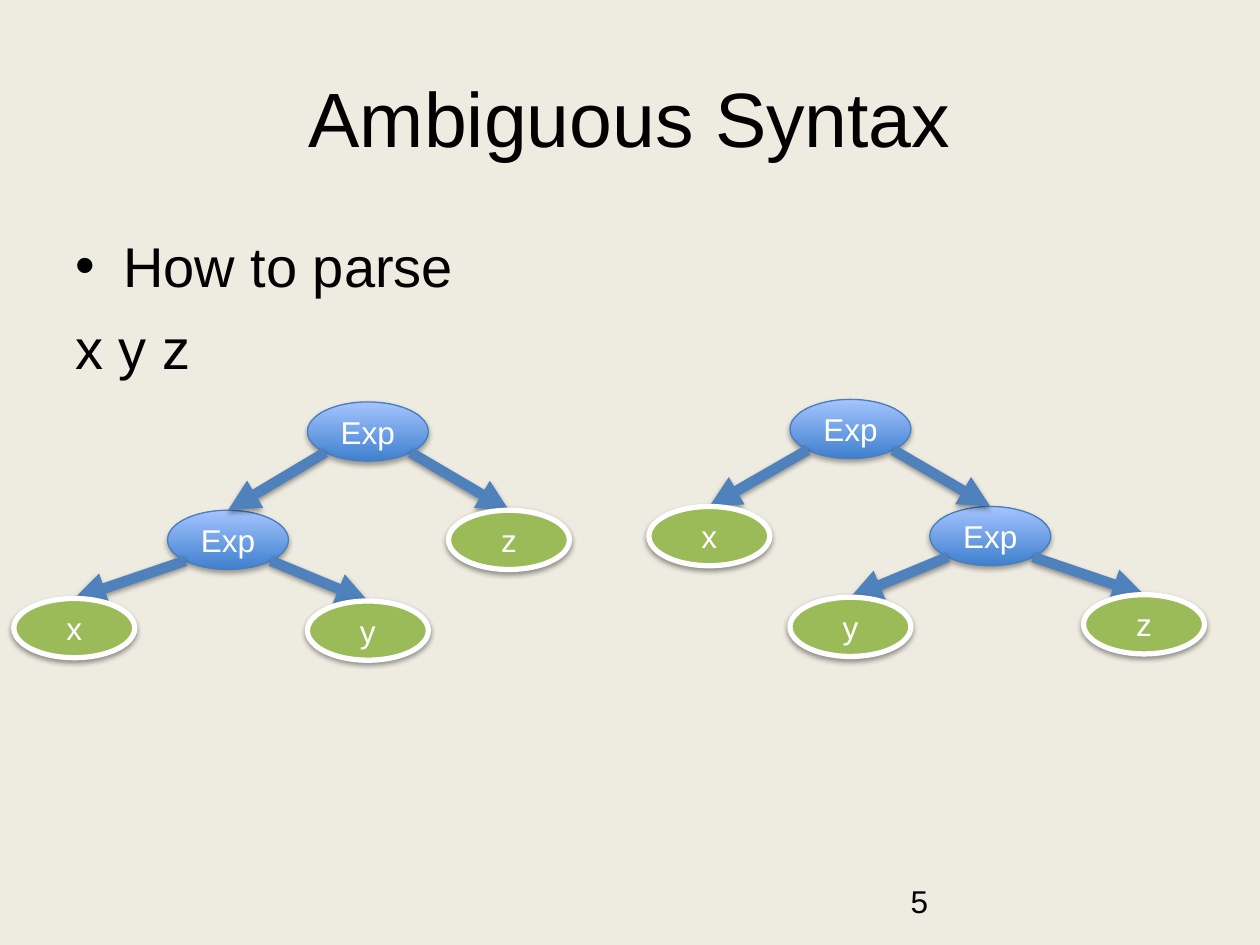
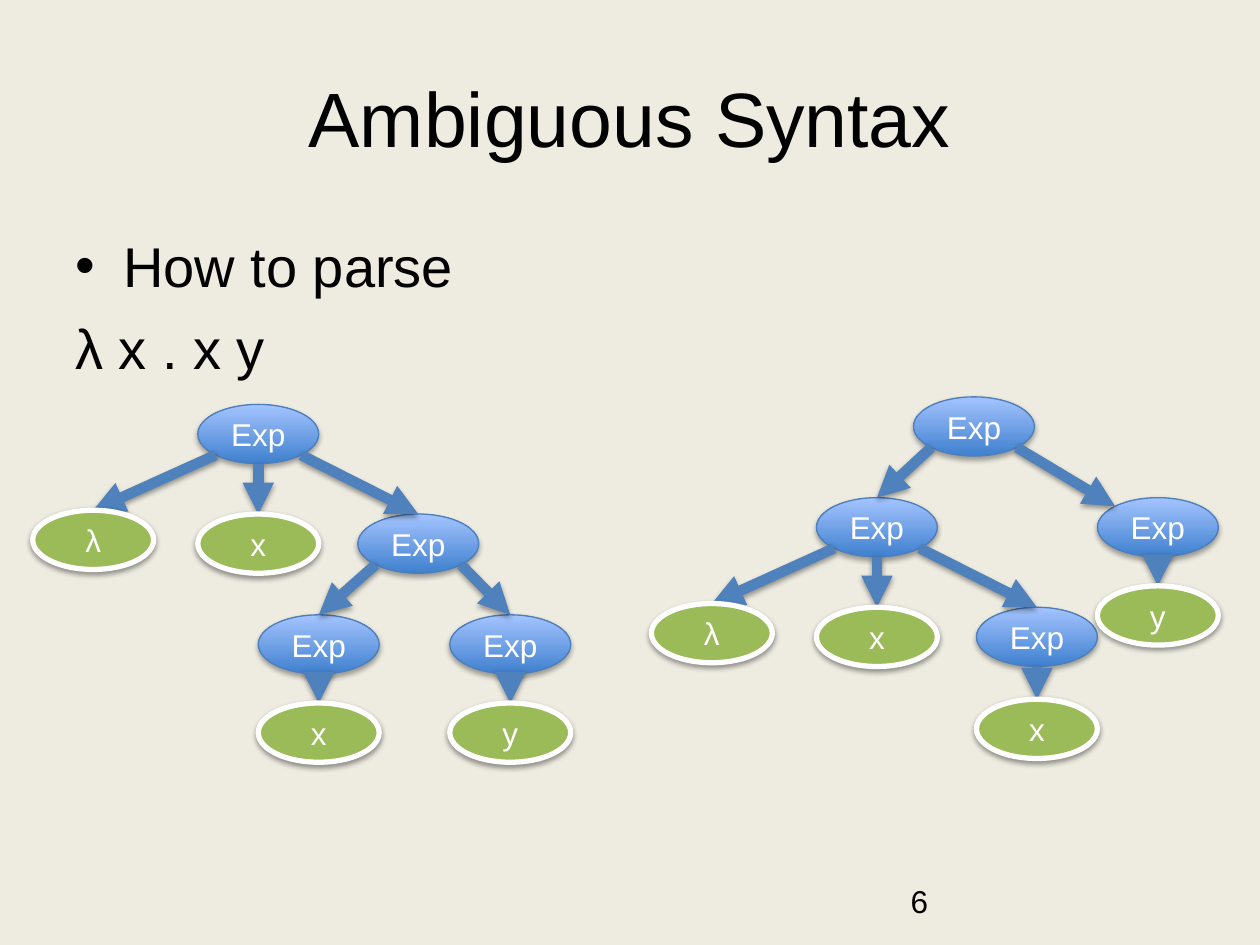
import collections
import math
import pptx
import pptx.util
import pptx.dml.color
import pptx.enum.shapes
import pptx.enum.text
import pptx.oxml
import pptx.oxml.ns
from lxml import etree

Inch, Pt, qn = pptx.util.Inches, pptx.util.Pt, pptx.oxml.ns.qn
Align, Anchor = pptx.enum.text.PP_ALIGN, pptx.enum.text.MSO_ANCHOR
Kind = pptx.enum.shapes.MSO_SHAPE

# Trees: each node gives its offset from its parent, in inches;
# dock is the oval's joint where the arrow from the parent ends (0 is the top)
Node = collections.namedtuple("Node", "label dx dy kids dock", defaults=((), 0))


def exp(dx, dy, *kids, dock=0):
    return Node("Exp", dx, dy, kids, dock)


def under(label):
    return Node(label, 0, 0.7)


def bind(dx, dy, *body):
    """A lambda term: the sign, its variable and its body."""
    return exp(dx, dy, Node("λ", -1.31, 0.84), Node("x", 0, 0.87),
               exp(1.27, 0.87, *body))


# Content: number, term to parse, and its two trees (roots placed on the slide)
TITLE, LEAD = "Ambiguous Syntax", "How to parse"
PAGES = [
    (5, "x y z", [
        exp(2.92, 3.19,
            exp(-1.11, 0.86, Node("x", -1.22, 0.7), Node("y", 1.11, 0.72)),
            Node("z", 1.12, 0.86)),
        exp(6.75, 3.17,
            Node("x", -1.12, 0.85),
            exp(1.11, 0.85, Node("y", -1.11, 0.72), Node("z", 1.22, 0.7))),
    ]),
    (6, "λ x . x y", [
        bind(2.05, 3.21, exp(-0.79, 0.8, under("x")), exp(0.73, 0.8, under("y"))),
        exp(7.73, 3.15,
            bind(-0.77, 0.8, Node("x", 0, 0.73)),
            exp(1.46, 0.8, under("y"), dock=1)),
    ]),
]

# Shared look
FONT, INK, PALE, PAPER = "Arial", "000000", "FFFFFF", "EEECE1"
LEAF, EDGE, RIM = "9BBB59", "4F81BD", "4B7EBC"
SHADE = ("3F80CE", "A4C4FF")
WIDE, HIGH = 0.96, 0.47


def hue(text):
    return pptx.dml.color.RGBColor.from_string(text)


def style(para, size, color=INK, **more):
    for key, value in {"name": FONT, "size": Pt(size)}.items():
        setattr(para.font, key, value)
    para.font.color.rgb = hue(color)
    for key, value in more.items():
        setattr(para, key, value)


def stroke(line, color, width):
    line.color.rgb = hue(color)
    line.width = Pt(width)


def shadow(part, alpha, dist):
    props = part.element.spPr
    for old in props.findall(qn("a:effectLst")):
        props.remove(old)
    props.append(pptx.oxml.parse_xml(
        f'<a:effectLst {pptx.oxml.ns.nsdecls("a")}>'
        f'<a:outerShdw blurRad="{Pt(3.1)}" dist="{Pt(dist)}" dir="5400000" rotWithShape="0">'
        f'<a:srgbClr val="{INK}"><a:alpha val="{alpha * 1000}"/></a:srgbClr>'
        '</a:outerShdw></a:effectLst>'))


def oval(slide, label, x, y, inner):
    part = slide.shapes.add_shape(Kind.OVAL, Inch(x - WIDE / 2), Inch(y),
                                  Inch(WIDE), Inch(HIGH))
    part.shadow.inherit = False
    if inner:
        part.fill.gradient()
        part.fill.gradient_angle = 90
        for place, stop in enumerate(part.fill.gradient_stops):
            stop.color.rgb = hue(SHADE[place])
            stop.position = place
        stroke(part.line, RIM, 0.75)
        shadow(part, 35, 1.8)
    else:
        part.fill.solid()
        part.fill.fore_color.rgb = hue(LEAF)
        stroke(part.line, PALE, 3)
        shadow(part, 38, 1.6)
    frame = part.text_frame
    frame.word_wrap = False
    frame.vertical_anchor = Anchor.MIDDLE
    frame.text = label
    style(frame.paragraphs[0], 18, PALE, alignment=Align.CENTER)
    return part


def joint(x, y, site):
    """Point of an oval's joint; eight run counter-clockwise from the top."""
    turn = site * math.pi / 4
    return (Inch(x - math.sin(turn) * WIDE / 2),
            Inch(y + (1 - math.cos(turn)) * HIGH / 2))


def arrow(slide, start, end, sites, parts):
    line = slide.shapes.add_connector(pptx.enum.shapes.MSO_CONNECTOR.STRAIGHT,
                                      *joint(*start, sites[0]), *joint(*end, sites[1]))
    stroke(line.line, EDGE, 6)
    etree.SubElement(line.element.spPr.find(qn("a:ln")), qn("a:tailEnd"), type="triangle")
    shadow(line, 38, 1.6)
    link = line.element.find(".//" + qn("p:cNvCxnSpPr"))
    for tag, part, site in zip(("a:stCxn", "a:endCxn"), parts, sites):
        etree.SubElement(link, qn(tag), id=str(part.shape_id), idx=str(site))


def collect(found, node, x=0, y=0, parent=None):
    """List (node, centre, top, parent's place in the list)."""
    x, y, here = x + node.dx, y + node.dy, len(found)
    found.append((node, x, y, parent))
    for kid in node.kids:
        collect(found, kid, x, y, here)
    return found


def tree(slide, root):
    found = collect([], root)
    parts = [oval(slide, node.label, x, y, bool(node.kids)) for node, x, y, _ in found]
    for i, (node, x, y, up) in enumerate(found):
        if up is not None:
            leave = 4 + (node.dx > 0) - (node.dx < 0)
            arrow(slide, found[up][1:3], (x, y), (leave, node.dock), (parts[up], parts[i]))
    # Leaves come to the front, over the arrow tips
    for part, (node, *_) in zip(parts, found):
        if not node.kids:
            slide.shapes.element.append(part.element)


def words(slide, term, number):
    # Title
    title = slide.shapes.title
    spot = {"left": 0.5, "top": 0.3, "width": 9, "height": 1.25}
    for key, value in spot.items():
        setattr(title, key, Inch(value))
    title.text_frame.text = TITLE
    title.text_frame.vertical_anchor = Anchor.MIDDLE
    style(title.text_frame.paragraphs[0], 44, alignment=Align.CENTER)
    # Question and term
    frame = slide.shapes.add_textbox(Inch(0.5), Inch(1.75), Inch(9), Inch(4.95)).text_frame
    frame.word_wrap = True
    frame.margin_top = Inch(0.09)
    frame.text = LEAD
    lead, last = frame.paragraphs[0], frame.add_paragraph()
    props = lead._p.get_or_add_pPr()
    props.set("marL", str(Inch(0.38)))
    props.set("indent", str(Inch(-0.38)))
    etree.SubElement(props, qn("a:buFont"), typeface=FONT)
    etree.SubElement(props, qn("a:buChar"), char="•")
    last.text = term
    style(lead, 32)
    style(last, 32, space_before=Pt(8))
    # Slide number
    frame = slide.shapes.add_textbox(Inch(7.13), Inch(6.95), Inch(2.33), Inch(0.4)).text_frame
    frame.word_wrap = True
    frame.text = str(number)
    style(frame.paragraphs[0], 18)


def main():
    deck = pptx.Presentation()
    deck.slide_width, deck.slide_height = Inch(10), Inch(7.5)
    back = deck.slide_master.background.fill
    back.solid()
    back.fore_color.rgb = hue(PAPER)
    for number, term, roots in PAGES:
        slide = deck.slides.add_slide(deck.slide_layouts[5])
        words(slide, term, number)
        for root in roots:
            tree(slide, root)
    deck.save("out.pptx")


if __name__ == "__main__":
    main()
